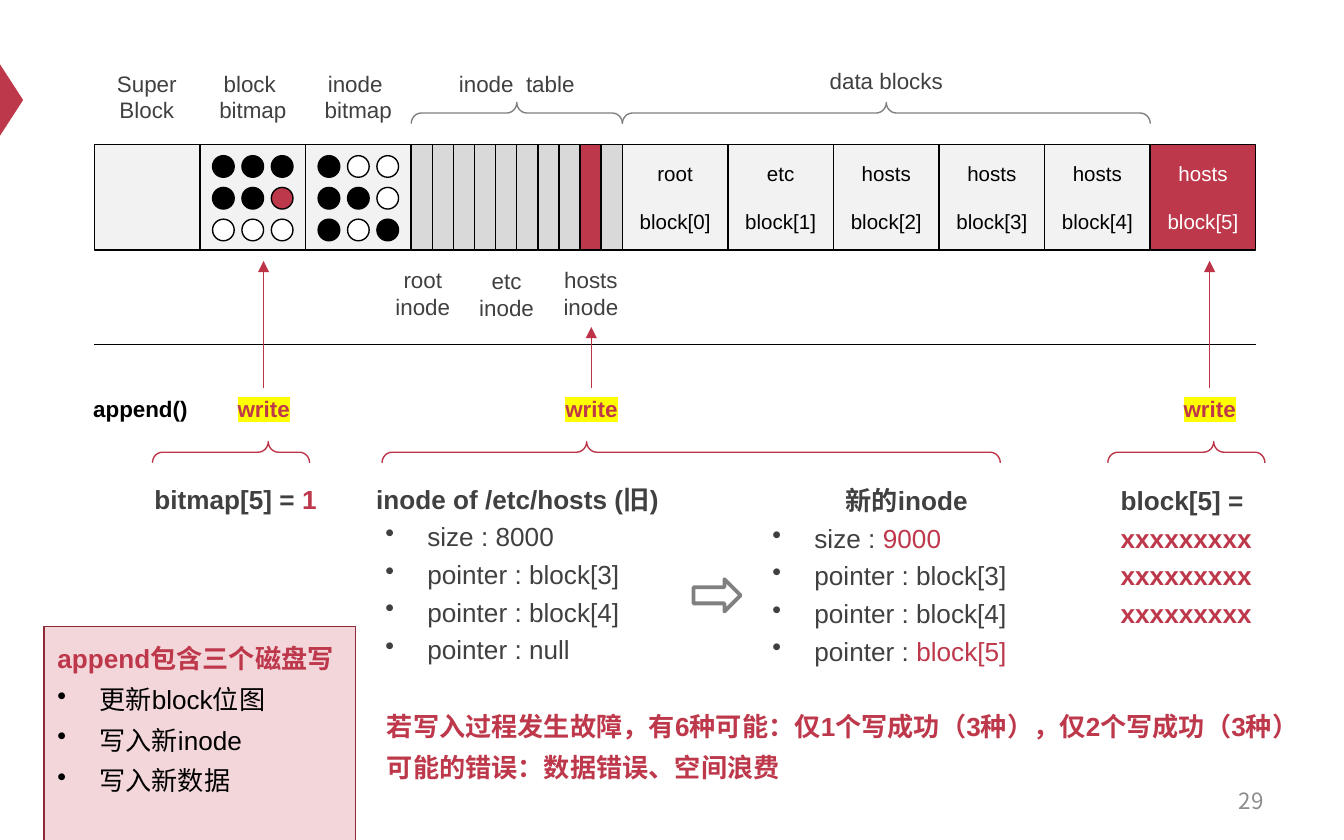
from dataclasses import dataclass

from lxml import etree
from pptx import Presentation
from pptx.dml.color import RGBColor
from pptx.enum.shapes import MSO_CONNECTOR, MSO_SHAPE
from pptx.enum.text import MSO_ANCHOR, PP_ALIGN
from pptx.oxml.ns import qn
from pptx.util import Pt

LEFT, CENTER, RIGHT = PP_ALIGN.LEFT, PP_ALIGN.CENTER, PP_ALIGN.RIGHT
TOP, MIDDLE = MSO_ANCHOR.TOP, MSO_ANCHOR.MIDDLE
RECTANGLE, OVAL = MSO_SHAPE.RECTANGLE, MSO_SHAPE.OVAL
TRIANGLE, BRACE = MSO_SHAPE.ISOSCELES_TRIANGLE, MSO_SHAPE.RIGHT_BRACE
RIGHT_ARROW = MSO_SHAPE.RIGHT_ARROW
STRAIGHT = MSO_CONNECTOR.STRAIGHT

RED = RGBColor(0xBE, 0x38, 0x4B)
LINE_RED = RGBColor(0xBD, 0x33, 0x47)
DARK_RED = RGBColor(0x8E, 0x2A, 0x38)
PINK = RGBColor(0xF3, 0xD6, 0xDA)
BLACK = RGBColor(0, 0, 0)
WHITE = RGBColor(0xFF, 0xFF, 0xFF)
CHARCOAL = RGBColor(0x40, 0x40, 0x40)
GRAY = RGBColor(0x80, 0x80, 0x80)
PAGE_GRAY = RGBColor(0x8C, 0x8C, 0x8C)
SLOT_GRAY = RGBColor(0xD9, 0xD9, 0xD9)
PALE = RGBColor(0xF2, 0xF2, 0xF2)
YELLOW = "FFFF00"

LATIN, CHINESE = "Arial", "Noto Sans CJK SC"
STRIP_LEFT, STRIP_TOP, CELL = 50.6, 77.4, 56.56
SLOT = CELL / 5


@dataclass(frozen=True)
class Para:
    text: str
    accent: str = ""
    size: float = 14
    color: RGBColor = CHARCOAL
    bold: bool = False
    align: PP_ALIGN = LEFT
    spacing: float = 1
    before: float = 0
    indent: float = 0
    bullet: bool = False
    highlight: bool = False
    font: str = LATIN


@dataclass(frozen=True)
class Label:
    left: float
    top: float
    width: float
    height: float
    paras: list[Para]


@dataclass(frozen=True)
class Brace:
    left: float
    top: float
    width: float
    tip: float
    color: RGBColor


@dataclass(frozen=True)
class Write:
    center: float
    arrow_top: float


def write_paras(shape, paras: list[Para], anchor=TOP) -> None:
    frame = shape.text_frame
    frame.word_wrap = True
    frame.vertical_anchor = anchor
    for index, item in enumerate(paras):
        para = frame.paragraphs[0] if index == 0 else frame.add_paragraph()
        para.alignment = item.align
        para.line_spacing = item.spacing
        para.space_before = Pt(item.before)
        if item.bullet:
            properties = para._p.get_or_add_pPr()
            properties.set("marL", str(Pt(item.indent)))
            properties.set("indent", str(-Pt(22.5)))
            etree.SubElement(properties, qn("a:buChar")).set("char", "•")
        para.font.name, para.font.size = item.font, Pt(item.size)
        para.font.bold = item.bold
        para.font.color.rgb = item.color
        east_asian = etree.Element(qn("a:ea"), typeface=CHINESE)
        para._p.find(".//" + qn("a:latin")).addnext(east_asian)
        span = para.add_run()
        span.text = item.text
        if item.highlight:
            mark = etree.SubElement(span._r.get_or_add_rPr(), qn("a:highlight"))
            etree.SubElement(mark, qn("a:srgbClr")).set("val", YELLOW)
        if item.accent:
            accent = para.add_run()
            accent.text = item.accent
            accent.font.color.rgb = RED


def add_label(page, label: Label, anchor=TOP) -> None:
    box = page.shapes.add_textbox(Pt(label.left), Pt(label.top), Pt(label.width), Pt(label.height))
    write_paras(box, label.paras, anchor)


def add_shape(page, kind, left: float, top: float, width: float, height: float,
              fill=None, line=BLACK, weight: float = 0.75):
    shape = page.shapes.add_shape(kind, Pt(left), Pt(top), Pt(width), Pt(height))
    shape.shadow.inherit = False
    if fill is None:
        shape.fill.background()
    else:
        shape.fill.solid()
        shape.fill.fore_color.rgb = fill
    if line is None:
        shape.line.fill.background()
    else:
        shape.line.color.rgb = line
        shape.line.width = Pt(weight)
    return shape


def add_brace(page, brace: Brace) -> None:
    depth = 11.3
    shift = (brace.width - depth) / 2
    shape = add_shape(page, BRACE, brace.left + shift, brace.top - shift, depth, brace.width, line=brace.color)
    shape.rotation = 270
    shape.adjustments[0], shape.adjustments[1] = 0.478, brace.tip


def add_line(page, start: tuple[float, float], end: tuple[float, float], color: RGBColor, arrow=False) -> None:
    line = page.shapes.add_connector(STRAIGHT, *map(Pt, start + end))
    line.line.color.rgb = color
    line.line.width = Pt(0.75)
    if arrow:
        etree.SubElement(line.line._get_or_add_ln(), qn("a:headEnd")).set("type", "triangle")
    etree.SubElement(line._element.spPr, qn("a:effectLst"))


def add_bitmap(page, cell: int, colors: list[RGBColor]) -> None:
    for index, color in enumerate(colors):
        row, column = divmod(index, 3)
        add_shape(page, OVAL, STRIP_LEFT + cell * CELL + 6.7 + column * 15.75,
                  STRIP_TOP + 6 + row * 17, 11.6, 11.6, color)


def caption(left: float, top: float, width: float, *lines: str) -> Label:
    return Label(left, top, width, 7.2 + 14.4 * len(lines),
                 [Para(line, size=12, align=CENTER) for line in lines])


def item(text: str, accent: str = "") -> Para:
    return Para(text, accent, spacing=1.2, indent=27.4, bullet=True)


def heading(text: str, accent: str = "", align=LEFT) -> Para:
    return Para(text, accent, bold=True, spacing=1.2, before=12, align=align)


def task(text: str) -> Para:
    return Para(text, color=BLACK, spacing=1.3, indent=22.5, bullet=True)


def warning(text: str) -> Para:
    return Para(text, color=RED, bold=True, spacing=1.3)


CAPTIONS = [
    caption(51, 33.8, 55.4, "Super", "Block"),
    caption(107.2, 33.8, CELL, "block ", "bitmap"),
    caption(163.7, 33.8, CELL, "inode ", "bitmap"),
    caption(220.3, 33.8, 2 * CELL, "inode  table"),
    caption(333.4, 32.4, 5 * CELL, "data blocks"),
    caption(200.2, 138.9, 52.6, "root", "inode"),
    caption(247.7, 139.8, 47.5, "etc", "inode"),
    caption(274.5, 138.9, 84.2, "hosts", "inode"),
]
DETAILS = [
    Label(42.5, 208.1, 65.5, 21.6, [Para("append()", size=12, color=BLACK, bold=True, align=CENTER)]),
    Label(75.6, 252, 106.6, 53.3, [heading("bitmap[5] = ", "1")]),
    Label(194.4, 252, 207.4, 141.8, [
        heading("inode of /etc/hosts (旧)"), item("size : 8000"),
        item("pointer : block[3]"), item("pointer : block[4]"), item("pointer : null")]),
    Label(401.8, 252.7, 167.8, 141.8, [
        heading("新的inode", align=CENTER), item("size : ", "9000"),
        item("pointer : block[3]"), item("pointer : block[4]"), item("pointer : ", "block[5]")]),
    Label(593.3, 252.7, 91.4, 119.5, [heading("block[5] = ", "x" * 27)]),
    Label(200.2, 372.2, 504, 49, [
        warning("若写入过程发生故障，有6种可能：仅1个写成功（3种），仅2个写成功（3种）"),
        warning("可能的错误：数据错误、空间浪费")]),
]
BRACES = [
    Brace(220.3, 54.9, 2 * CELL, 0.5, GRAY),
    Brace(333.4, 54.9, 5 * CELL, 0.5, GRAY),
    Brace(81.7, 236.6, 84.2, 0.737, LINE_RED),
    Brace(204.7, 236.6, 331.2, 0.331, LINE_RED),
    Brace(593.5, 236.6, 84.2, 0.674, LINE_RED),
]
WRITES = [Write(141.2, 139.8), Write(316.8, 175.2), Write(648, 139.8)]
BLOCK_OWNERS = ["root", "etc", "hosts", "hosts", "hosts", "hosts"]
BLOCK_BITMAP = [BLACK] * 5 + [RED] + [WHITE] * 3
INODE_BITMAP = [BLACK, WHITE, WHITE, BLACK, BLACK, WHITE, BLACK, WHITE, BLACK]


def main() -> None:
    deck = Presentation()
    deck.slide_width, deck.slide_height = Pt(720), Pt(450)
    page = deck.slides.add_slide(deck.slide_layouts[6])

    add_shape(page, TRIANGLE, -12.9, 47.4, 38.2, 12.4, RED, None).rotation = 90
    for cell in range(3):
        add_shape(page, RECTANGLE, STRIP_LEFT + cell * CELL, STRIP_TOP, CELL, CELL, PALE)
    for slot in range(10):
        add_shape(page, RECTANGLE, STRIP_LEFT + 3 * CELL + slot * SLOT, STRIP_TOP, SLOT, CELL,
                  RED if slot == 8 else SLOT_GRAY)
    for number, owner in enumerate(BLOCK_OWNERS):
        is_new = number == 5
        block = add_shape(page, RECTANGLE, STRIP_LEFT + (5 + number) * CELL, STRIP_TOP, CELL, CELL,
                          RED if is_new else PALE)
        block.text_frame.margin_left = block.text_frame.margin_right = 0
        color = WHITE if is_new else BLACK
        write_paras(block, [Para(owner, size=11, color=color, align=CENTER),
                            Para(f"block[{number}]", size=11, color=color, align=CENTER, before=13)], MIDDLE)
    add_bitmap(page, 1, BLOCK_BITMAP)
    add_bitmap(page, 2, INODE_BITMAP)

    add_line(page, (STRIP_LEFT, 184.5), (STRIP_LEFT + 11 * CELL, 184.5), BLACK)
    for label in CAPTIONS + DETAILS:
        add_label(page, label)
    for brace in BRACES:
        add_brace(page, brace)
    for write in WRITES:
        add_line(page, (write.center, write.arrow_top), (write.center, 208.1), LINE_RED, arrow=True)
        add_label(page, Label(write.center - 24.8, 208.1, 49.7, 21.6, [
            Para("write", size=12, color=RED, bold=True, align=CENTER, highlight=True)]))

    add_shape(page, RIGHT_ARROW, 371.5, 310.3, 25.2, 17.3, line=GRAY, weight=2)
    summary = add_shape(page, RECTANGLE, 23.6, 335.6, 167, 115, PINK, DARK_RED)
    write_paras(summary, [warning("append包含三个磁盘写"), task("更新block位图"),
                          task("写入新inode"), task("写入新数据")])
    add_label(page, Label(516.2, 416.9, 167.8, 23.8, [
        Para("29", size=12, color=PAGE_GRAY, align=RIGHT, font=CHINESE)]), MIDDLE)
    deck.save("out.pptx")


if __name__ == "__main__":
    main()
